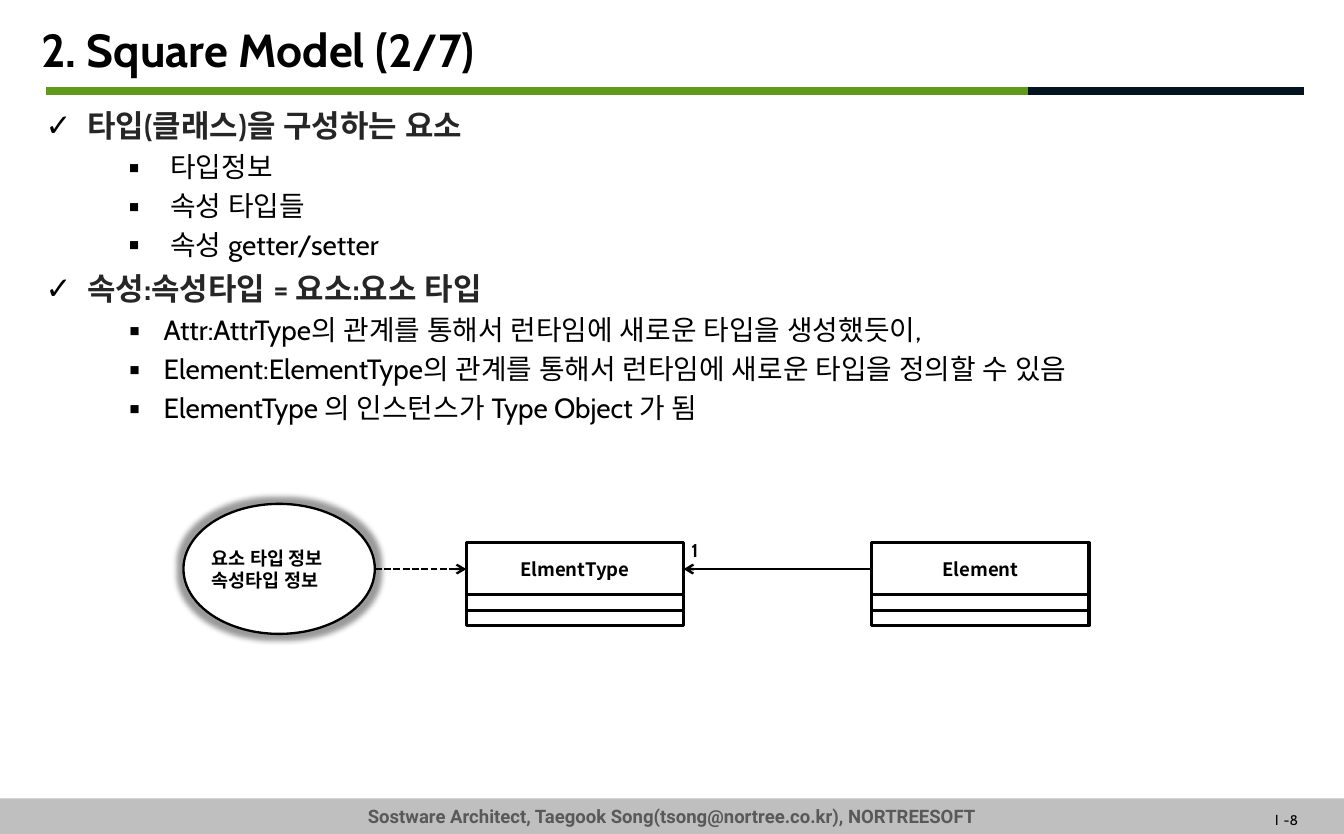
from dataclasses import dataclass

from lxml.etree import SubElement
from pptx import Presentation
from pptx.dml.color import RGBColor
from pptx.enum.dml import MSO_LINE
from pptx.enum.shapes import MSO_CONNECTOR, MSO_SHAPE
from pptx.enum.text import MSO_ANCHOR, PP_ALIGN
from pptx.oxml.ns import qn
from pptx.util import Cm, Pt


@dataclass(frozen=True)
class Theme:
    black: str = "000000"
    white: str = "FFFFFF"
    heading: str = "262626"
    green: str = "609A1A"
    navy: str = "04141E"
    band: str = "BFBFBF"
    footer: str = "595959"
    title_pt: float = 30
    heading_pt: float = 20
    item_pt: float = 18
    label_pt: float = 12
    page_pt: float = 9
    main_font: str = "Cabin"
    class_font: str = "Noto Sans CJK KR"
    note_font: str = "Courier New"
    footer_font: str = "Roboto"
    hangul_font: str = "Roboto"


@dataclass(frozen=True)
class Box:
    left: float
    top: float
    width: float
    height: float

    def cm(self):
        return Cm(self.left), Cm(self.top), Cm(self.width), Cm(self.height)


@dataclass(frozen=True)
class Style:
    font: str
    size: float
    color: str
    bold: bool = True


@dataclass(frozen=True)
class Section:
    heading: str
    items: tuple[str, ...]
    indent: float
    hanging: float


@dataclass(frozen=True)
class ClassBox:
    name: str
    left: float


T = Theme()
LABEL = Style(T.main_font, T.label_pt, T.black)
HEADING = Style(T.main_font, T.heading_pt, T.heading)
ITEM = Style(T.main_font, T.item_pt, T.black, False)
SLIDE_WIDTH, SLIDE_HEIGHT = 30.69, 19.05
CLASS_TOP, CLASS_WIDTH, NAME_HEIGHT, ROW_HEIGHT = 12.4, 4.96, 1.19, 0.35
ARROW_Y = 13.0

SECTIONS = (
    Section("타입(클래스)을 구성하는 요소",
            ("타입정보", "속성 타입들", "속성 getter/setter"), 2.85, 0.95),
    Section("속성:속성타입 = 요소:요소 타입",
            ("Attr:AttrType의 관계를 통해서 런타임에 새로운 타입을 생성했듯이,",
             "Element:ElementType의 관계를 통해서 런타임에 새로운 타입을 정의할 수 있음",
             "ElementType 의 인스턴스가 Type Object 가 됨"), 2.7, 0.79),
)
ELEMENT_TYPE = ClassBox("ElmentType", 10.65)
ELEMENT = ClassBox("Element", 19.91)
TYPE_INFO = Box(4.19, 11.51, 4.37, 2.97)


def format_run(r, style: Style) -> None:
    r.font.name, r.font.size, r.font.bold = style.font, Pt(style.size), style.bold
    r.font.color.rgb = RGBColor.from_string(style.color)
    SubElement(r.font._element, qn("a:ea")).set("typeface", T.hangul_font)


def write(tf, text: str, style: Style, align=PP_ALIGN.LEFT) -> None:
    tf.text = text
    for p in tf.paragraphs:
        p.alignment = align
        for r in p.runs:
            format_run(r, style)


def set_margins(tf, x: float, y: float) -> None:
    tf.margin_left = tf.margin_right = Cm(x)
    tf.margin_top = tf.margin_bottom = Cm(y)


def add_text_box(shapes, box: Box):
    tf = shapes.add_textbox(*box.cm()).text_frame
    tf.word_wrap = True
    return tf


def add_filled(shapes, kind, box: Box, fill: str, line_pt: float = 0):
    sp = shapes.add_shape(kind, *box.cm())
    sp.shadow.inherit = False
    sp.fill.solid()
    sp.fill.fore_color.rgb = RGBColor.from_string(fill)
    if line_pt:
        sp.line.color.rgb = RGBColor.from_string(T.black)
        sp.line.width = Pt(line_pt)
    else:
        sp.line.fill.background()
    sp.text_frame.vertical_anchor = MSO_ANCHOR.MIDDLE
    return sp


def add_line(shapes, kind, x1: float, x2: float, y: float, color: str,
             width: float, arrow: bool = False):
    line = shapes.add_connector(kind, Cm(x1), Cm(y), Cm(x2), Cm(y))
    line.line.color.rgb = RGBColor.from_string(color)
    line.line.width = Pt(width)
    if arrow:
        SubElement(line.line._get_or_add_ln(), qn("a:tailEnd")).set("type", "arrow")
    SubElement(line._element.spPr, qn("a:effectLst"))
    return line


def add_bullet(p, text: str, char: str, style: Style, indent: float,
               hanging: float, before: float) -> None:
    p.text = text
    pPr = p._p.get_or_add_pPr()
    pPr.set("marL", str(Cm(indent)))
    pPr.set("indent", str(-Cm(hanging)))
    color = SubElement(pPr, qn("a:buClr"))
    SubElement(color, qn("a:srgbClr")).set("val", T.black)
    SubElement(pPr, qn("a:buFont")).set("typeface", T.main_font)
    SubElement(pPr, qn("a:buChar")).set("char", char)
    p.space_before = Pt(before)
    for r in p.runs:
        format_run(r, style)


def add_outline(shapes, box: Box) -> None:
    tf = add_text_box(shapes, box)
    set_margins(tf, 0.1, 0.13)
    for i, section in enumerate(SECTIONS):
        p = tf.add_paragraph() if i else tf.paragraphs[0]
        add_bullet(p, section.heading, "✓", HEADING, 0.95, 0.95, 6 if i else 0)
        for item in section.items:
            p = tf.add_paragraph()
            p.level = 1
            add_bullet(p, item, "▪", ITEM, section.indent, section.hanging, 3.6)


def add_class(shapes, cls: ClassBox) -> None:
    name_box = Box(cls.left, CLASS_TOP, CLASS_WIDTH, NAME_HEIGHT)
    tf = add_filled(shapes, MSO_SHAPE.RECTANGLE, name_box, T.white, 2).text_frame
    tf.word_wrap = False
    write(tf, cls.name, Style(T.class_font, T.label_pt, T.black), PP_ALIGN.CENTER)
    for row in range(2):
        top = CLASS_TOP + NAME_HEIGHT + row * ROW_HEIGHT
        add_filled(shapes, MSO_SHAPE.RECTANGLE,
                   Box(cls.left, top, CLASS_WIDTH, ROW_HEIGHT), T.white, 2)


def add_type_info(shapes) -> None:
    sp = add_filled(shapes, MSO_SHAPE.OVAL, TYPE_INFO, T.white, 1.5)
    set_margins(sp.text_frame, 0, 0)
    write(sp.text_frame, "요소 타입 정보\n속성타입 정보",
          Style(T.note_font, T.label_pt, T.black))
    # Soft dark halo
    effects = sp._element.spPr.find(qn("a:effectLst"))
    glow = SubElement(effects, qn("a:glow"), rad=str(Pt(7)))
    color = SubElement(glow, qn("a:srgbClr"), val=T.black)
    SubElement(color, qn("a:alpha"), val="40000")


def main() -> None:
    prs = Presentation()
    prs.slide_width, prs.slide_height = Cm(SLIDE_WIDTH), Cm(SLIDE_HEIGHT)
    shapes = prs.slides.add_slide(prs.slide_layouts[6]).shapes

    # Footer and page number
    band = add_filled(shapes, MSO_SHAPE.RECTANGLE,
                      Box(0, 18.24, SLIDE_WIDTH, 0.81), T.band)
    write(band.text_frame,
          "Sostware Architect, Taegook Song(tsong@nortree.co.kr), NORTREESOFT",
          Style(T.footer_font, T.label_pt, T.footer), PP_ALIGN.CENTER)
    p = add_text_box(shapes, Box(27.95, 18.39, 2.74, 0.66)).paragraphs[0]
    p.alignment, p.line_spacing = PP_ALIGN.CENTER, 1.05
    for text, font in (("Ⅰ", T.class_font), ("-8", T.main_font)):
        r = p.add_run()
        r.text = text
        format_run(r, Style(font, T.page_pt, T.black, False))

    # Title and its rule
    add_line(shapes, MSO_CONNECTOR.STRAIGHT, 1.06, 24.49, 2.08, T.green, 5)
    add_line(shapes, MSO_CONNECTOR.STRAIGHT, 23.47, 29.77, 2.08, T.navy, 5)
    tf = add_text_box(shapes, Box(0.94, 0.33, 28.75, 1.6))
    set_margins(tf, 0, 0)
    tf.vertical_anchor = MSO_ANCHOR.MIDDLE
    write(tf, "2. Square Model (2/7)", Style(T.main_font, T.title_pt, T.black))

    add_outline(shapes, Box(0.94, 2.31, 28.22, 7.67))

    # Class diagram
    for cls in (ELEMENT_TYPE, ELEMENT):
        add_class(shapes, cls)
    add_line(shapes, MSO_CONNECTOR.ELBOW, ELEMENT.left,
             ELEMENT_TYPE.left + CLASS_WIDTH, ARROW_Y, T.black, 1.5, True)
    write(add_text_box(shapes, Box(15.54, 12.19, 1.19, 0.76)), "1", LABEL)
    add_type_info(shapes)
    link = add_line(shapes, MSO_CONNECTOR.CURVE, TYPE_INFO.left + TYPE_INFO.width,
                    ELEMENT_TYPE.left, ARROW_Y, T.black, 1.5, True)
    link.line.dash_style = MSO_LINE.SQUARE_DOT

    prs.save("out.pptx")


if __name__ == "__main__":
    main()
